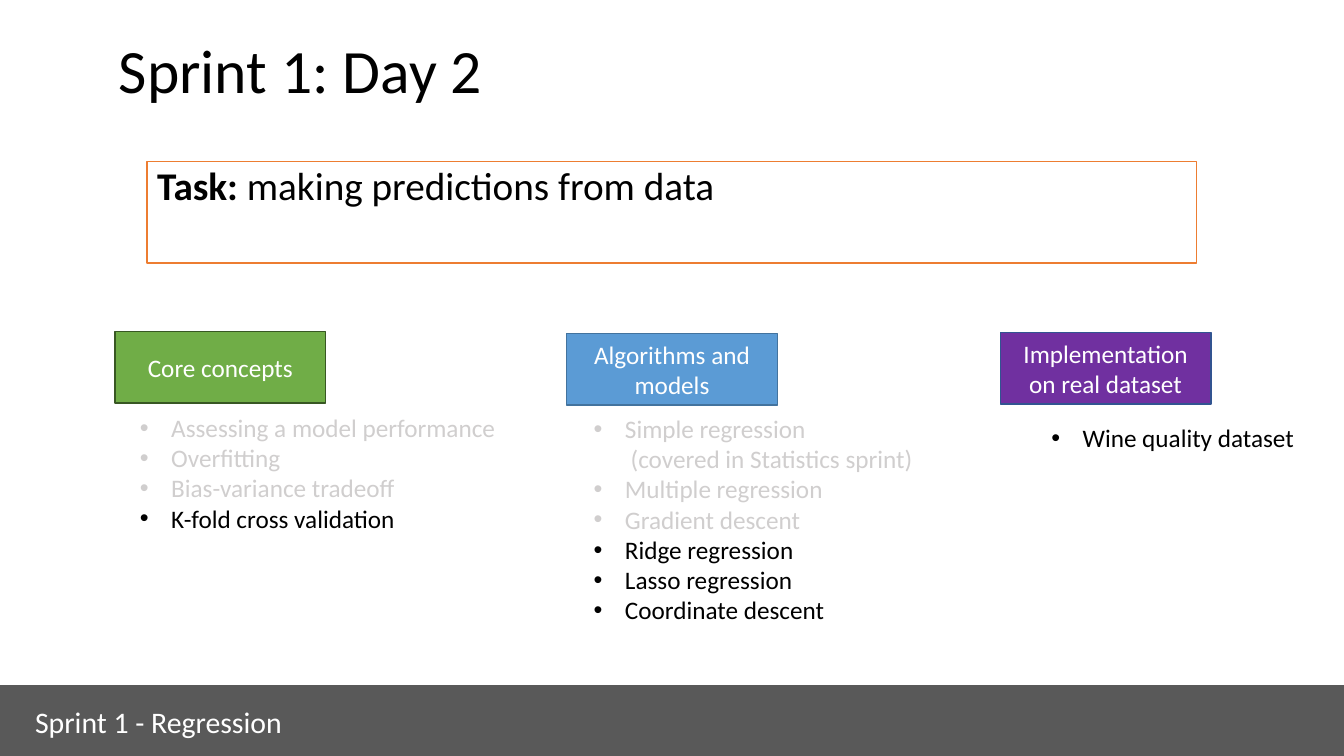
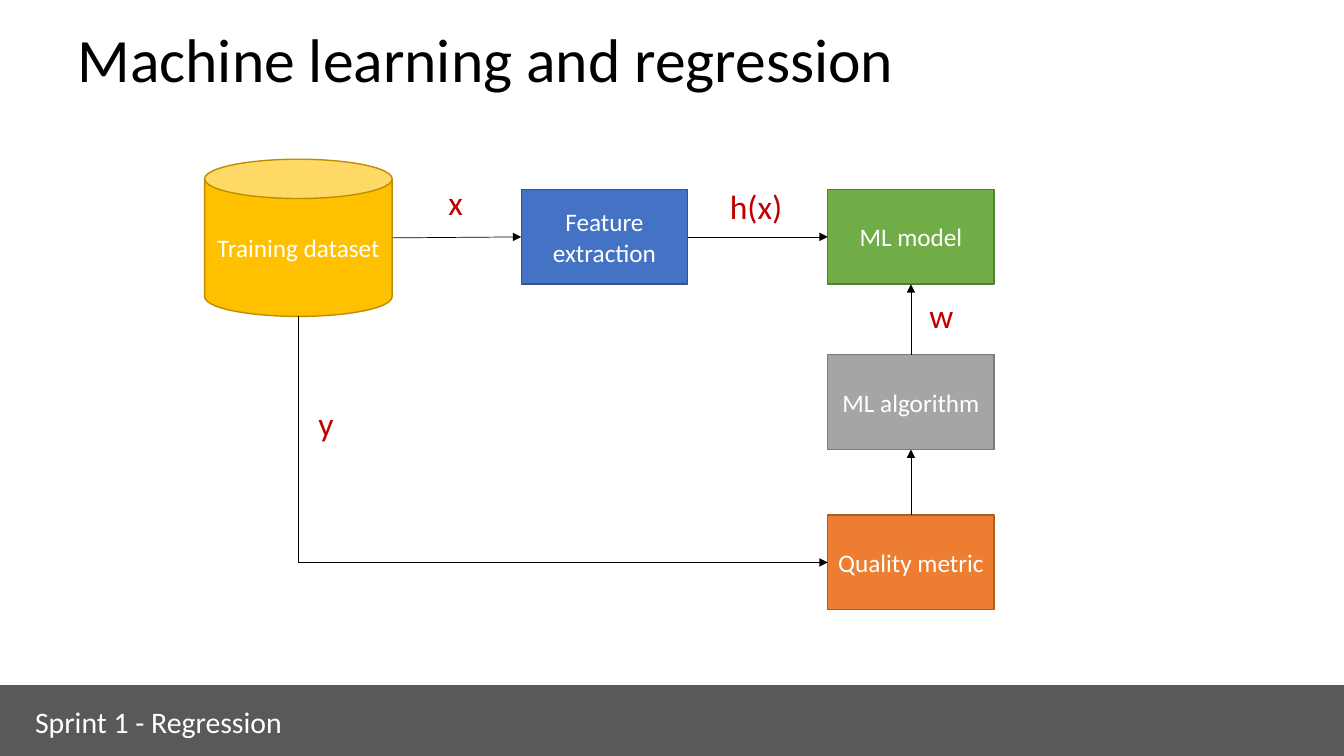
from dataclasses import dataclass

from lxml import etree
from pptx import Presentation
from pptx.dml import color
from pptx.enum import shapes, text
from pptx.oxml import ns
from pptx.util import Pt

PX = 9144


@dataclass(frozen=True)
class Theme:
    font: str = "Calibri"
    ink: str = "000000"
    paper: str = "FFFFFF"
    dim: str = "D0CECE"
    band: str = "595959"
    label: str = "C00000"
    green: str = "70AD47"
    moss: str = "385723"
    leaf: str = "538035"
    sky: str = "5B9BD5"
    steel: str = "43739E"
    purple: str = "7030A0"
    blue: str = "4472C4"
    navy: str = "325491"
    gold: str = "FFC000"
    amber: str = "BD8E00"
    orange: str = "ED7D31"
    rust: str = "AF5C24"
    gray: str = "A5A5A5"
    slate: str = "7A7A7A"
    title: float = 44
    task: float = 28
    mark: float = 24
    foot: float = 21.3
    body: float = 18


def rgb(code):
    return color.RGBColor.from_string(code)


def scale(*sizes):
    return [size * PX for size in sizes]


class Deck:
    def __init__(self, theme, footer):
        self.theme = theme
        self.footer = footer
        self.show = Presentation()
        self.show.slide_width, self.show.slide_height = scale(1333, 750)
        self.slide = None

    def page(self, title, box):
        t = self.theme
        self.slide = self.show.slides.add_slide(self.show.slide_layouts[6])
        frame = self.text(box, text.MSO_ANCHOR.MIDDLE)
        self.line(frame, [(title, False)], t.title, t.ink).line_spacing = 0.9
        self.shape((0, 680, 1333, 70), t.band, t.band)
        self.line(self.text((25, 693, 336, 46)), [(self.footer, False)], t.foot, t.paper)

    def text(self, box, anchor=text.MSO_ANCHOR.TOP):
        frame = self.slide.shapes.add_textbox(*scale(*box)).text_frame
        frame.word_wrap = True
        frame.vertical_anchor = anchor
        return frame

    def line(self, frame, runs, size, ink, first=True):
        para = frame.paragraphs[0] if first else frame.add_paragraph()
        for words, bold in runs:
            for row, part in enumerate(words.split("\n")):
                if row:
                    para.add_line_break()
                run = para.add_run()
                run.text = part
                run.font.name = self.theme.font
                run.font.size = Pt(size)
                run.font.bold = bold
                run.font.color.rgb = rgb(ink)
        return para

    def shape(self, box, fill, edge, kind=shapes.MSO_SHAPE.RECTANGLE):
        item = self.slide.shapes.add_shape(kind, *scale(*box))
        item.shadow.inherit = False
        item.fill.solid()
        item.fill.fore_color.rgb = rgb(fill)
        item.line.color.rgb = rgb(edge)
        item.line.width = Pt(1)
        return item

    def node(self, words, box, fill, edge, kind=shapes.MSO_SHAPE.RECTANGLE):
        item = self.shape(box, fill, edge, kind)
        para = self.line(item.text_frame, [(words, False)], self.theme.body, self.theme.paper)
        para.alignment = text.PP_ALIGN.CENTER
        return item

    def task(self, runs, box):
        t = self.theme
        frame = self.shape(box, t.paper, t.orange).text_frame
        frame.vertical_anchor = text.MSO_ANCHOR.TOP
        para = self.line(frame, runs, t.task, t.ink)
        para.alignment = text.PP_ALIGN.LEFT
        para.line_spacing = 0.9
        para.space_before = Pt(10)

    def list(self, box, old, new):
        t = self.theme
        frame = self.text(box)
        items = [(words, t.dim) for words in old] + [(words, t.ink) for words in new]
        for rank, (words, ink) in enumerate(items):
            para = self.line(frame, [(words, False)], t.body, ink, rank == 0)
            props = para._p.get_or_add_pPr()
            props.set("marL", str(31 * PX))
            props.set("indent", str(-31 * PX))
            etree.SubElement(props, ns.qn("a:buFont"), typeface="Arial")
            etree.SubElement(props, ns.qn("a:buChar"), char="•")

    def mark(self, words, box):
        self.line(self.text(box), [(words, False)], self.theme.mark, self.theme.label)

    def link(self, start, stop, tail=None, head=None, arrow=True):
        kind = shapes.MSO_CONNECTOR.STRAIGHT
        wire = self.slide.shapes.add_connector(kind, *scale(*start, *stop))
        if tail:
            wire.begin_connect(*tail)
        if head:
            wire.end_connect(*head)
        wire.line.color.rgb = rgb(self.theme.ink)
        wire.line.width = Pt(0.5)
        if arrow:
            etree.SubElement(wire.line._get_or_add_ln(), ns.qn("a:tailEnd"), type="triangle")
        etree.SubElement(wire._element.spPr, ns.qn("a:effectLst"))


def agenda(deck):
    t = deck.theme
    deck.page("Sprint 1: Day 2", (108, 0, 1150, 145))
    deck.task([("Task: ", True), ("making predictions from data", False)], (146, 160, 1041, 101))
    heads = [
        ("Core concepts", 114, 329, t.green, t.moss),
        ("Algorithms and models", 562, 331, t.sky, t.steel),
        ("Implementation on real dataset", 992, 330, t.purple, t.navy),
    ]
    for words, left, top, fill, edge in heads:
        deck.node(words, (left, top, 209, 71), fill, edge)
    deck.list(
        (129, 404, 380, 131),
        ["Assessing a model performance", "Overfitting", "Bias-variance tradeoff"],
        ["K-fold cross validation"],
    )
    deck.list(
        (579, 405, 365, 252),
        ["Simple regression\n (covered in Statistics sprint)", "Multiple regression", "Gradient descent"],
        ["Ridge regression", "Lasso regression", "Coordinate descent"],
    )
    deck.list((1033, 414, 286, 40), [], ["Wine quality dataset"])


def flow(deck):
    t = deck.theme
    deck.page("Machine learning and regression", (67, 0, 1200, 125))
    wide, high = 165, 94
    left, top = 821, 188
    axis, row = left + wide // 2, top + high // 2
    base = 511 + high // 2
    deck.node("Training dataset", (203, 158, 186, 156), t.gold, t.amber, shapes.MSO_SHAPE.CAN)
    plan = [
        ("Feature extraction", 517, top, t.blue, t.navy),
        ("ML model", left, top, t.green, t.leaf),
        ("Quality metric", left, 511, t.orange, t.rust),
        ("ML algorithm", left, 352, t.gray, t.slate),
    ]
    feat, model, score, algo = [
        deck.node(words, (x, y, wide, high), fill, edge) for words, x, y, fill, edge in plan
    ]
    deck.link((389, 236), (517, row), head=(feat, 1))
    deck.link((517 + wide, row), (left, row), (feat, 3), (model, 1))
    deck.link((296, 314), (296, base), arrow=False)
    deck.link((296, base), (left, base), head=(score, 1))
    deck.link((axis, 511), (axis, 352 + high), (score, 0), (algo, 2))
    deck.link((axis, 352), (axis, top + high), (algo, 0), (model, 2))
    marks = [("x", 435, 176, 30), ("h(x)", 714, 180, 79), ("y", 306, 395, 30), ("w", 912, 288, 30)]
    for words, x, y, span in marks:
        deck.mark(words, (x, y, span, 50))


def main():
    deck = Deck(Theme(), "Sprint 1 - Regression")
    agenda(deck)
    flow(deck)
    deck.show.save("out.pptx")


if __name__ == "__main__":
    main()
